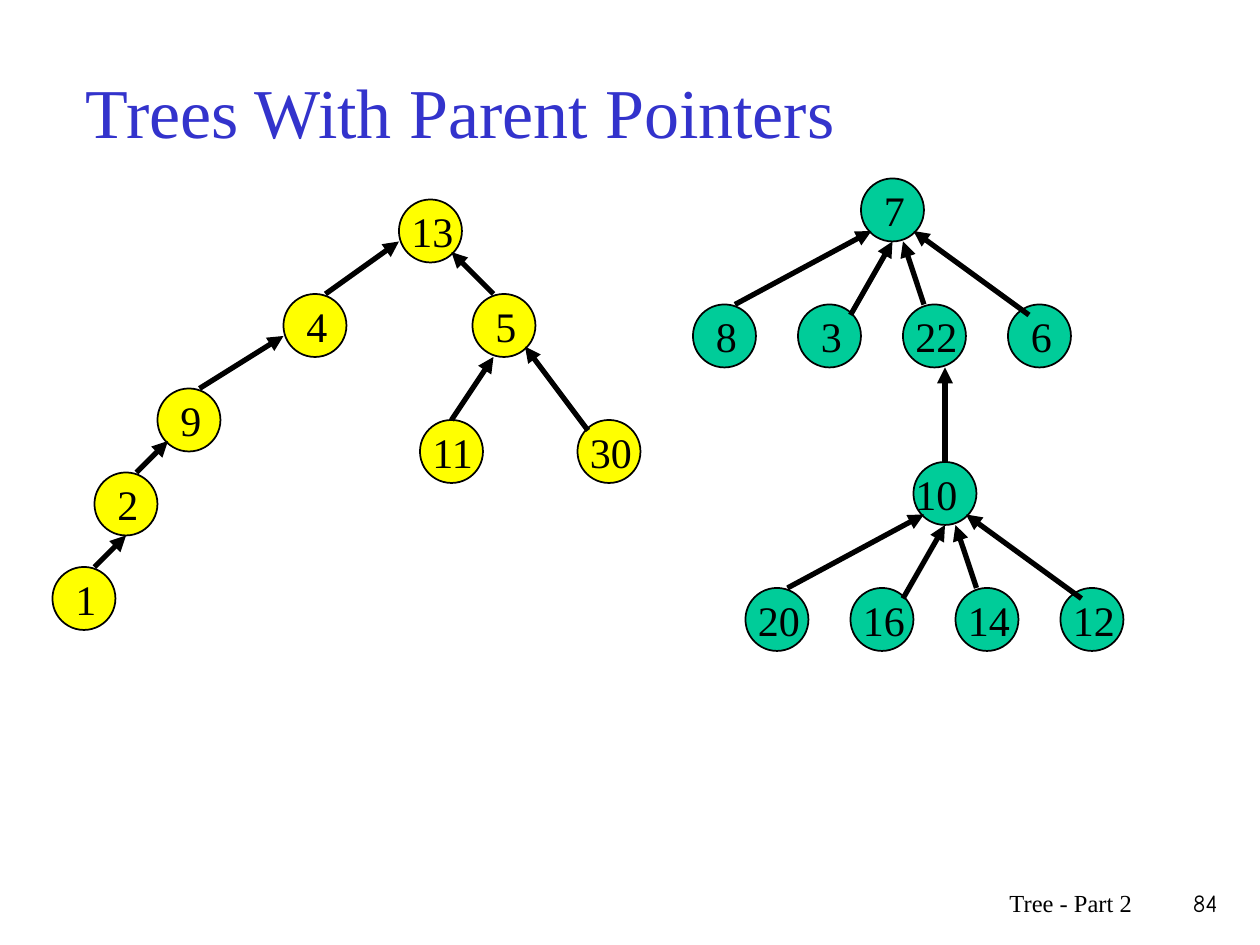
from lxml.etree import SubElement
from pptx import Presentation
from pptx.dml.color import RGBColor
from pptx.enum.shapes import MSO_CONNECTOR as Connector, MSO_SHAPE as Shape
from pptx.enum.text import MSO_ANCHOR as Anchor, PP_ALIGN as Align
from pptx.oxml.ns import qn
from pptx.util import Pt

PX = 9525  # EMU in one px, 96 px to the inch
NODE = 48  # node diameter

BLACK = RGBColor(0x00, 0x00, 0x00)
BLUE = RGBColor(0x33, 0x33, 0xCC)
YELLOW = RGBColor(0xFF, 0xFF, 0x00)
GREEN = RGBColor(0x00, 0xCC, 0x99)

SERIF = "Times New Roman"
COMIC = "Comic Neue"


def emu(*lengths):
    return [length * PX for length in lengths]


def add_text(shapes, text, box, size, color=BLACK, font=SERIF,
             align=Align.LEFT, anchor=Anchor.TOP):
    frame = shapes.add_textbox(*emu(*box)).text_frame
    frame.word_wrap = True
    frame.vertical_anchor = anchor
    para = frame.paragraphs[0]
    para.text = text
    para.alignment = align
    para.font.size = Pt(size)
    para.font.name = font
    para.font.color.rgb = color


def add_node(shapes, label, left, top, fill, label_shift=None):
    circle = shapes.add_shape(Shape.OVAL, *emu(left, top, NODE, NODE))
    circle.shadow.inherit = False
    circle.fill.solid()
    circle.fill.fore_color.rgb = fill
    circle.line.color.rgb = BLACK
    circle.line.width = Pt(1)
    single = len(label) == 1
    if label_shift is None:
        label_shift = 8 if single else 0
    width = 32 if single else 72
    add_text(shapes, label, (left + label_shift, top, width, NODE), 24)


def add_pointer(shapes, left, top, ends):
    """Draw a line whose arrowhead is at the parent, the first end."""
    x1, y1, x2, y2 = ends
    pointer = shapes.add_connector(
        Connector.STRAIGHT, *emu(left + x1, top + y1, left + x2, top + y2))
    pointer.line.color.rgb = BLACK
    pointer.line.width = Pt(3)
    SubElement(pointer.line._get_or_add_ln(), qn("a:headEnd"), type="triangle")
    SubElement(pointer._element.spPr, qn("a:effectLst"))


def add_binary_tree(shapes, left, top):
    nodes = [
        ("13", 264, 0), ("4", 176, 72), ("5", 320, 72), ("9", 80, 144),
        ("11", 280, 168), ("30", 400, 168), ("2", 32, 208), ("1", 0, 280),
    ]
    pointers = [
        (264, 32, 208, 72), (304, 40, 336, 72), (176, 104, 112, 144),
        (336, 120, 304, 168), (360, 112, 408, 176),
        (88, 184, 64, 208), (56, 256, 32, 280),
    ]
    for label, x, y in nodes:
        add_node(shapes, label, left + x, top + y, YELLOW)
    for ends in pointers:
        add_pointer(shapes, left, top, ends)


def add_fan(shapes, left, top, root, children, root_shift=None):
    """Draw a root with four children in a row below it."""
    pointers = [
        (136, 40, 32, 96), (152, 48, 120, 104),
        (160, 48, 176, 96), (168, 40, 256, 104),
    ]
    add_node(shapes, root, left + 128, top, GREEN, root_shift)
    for index, label in enumerate(children):
        add_node(shapes, label, left + 80 * index, top + 96, GREEN)
    for ends in pointers:
        add_pointer(shapes, left, top, ends)


def add_wide_tree(shapes, left, top):
    add_fan(shapes, left, top, "7", ["8", "3", "22", "6"])
    add_fan(shapes, left + 40, top + 216, "10", ["20", "16", "14", "12"], -8)
    add_pointer(shapes, left, top, (192, 144, 192, 216))


def add_footer(shapes, left, top):
    add_text(shapes, "Tree - Part 2", (left, top, 304, 48), 14,
             align=Align.RIGHT)
    add_text(shapes, "84", (left + 304, top, 65, 48), 14, font=COMIC,
             align=Align.RIGHT)


def main():
    deck = Presentation()
    deck.slide_width, deck.slide_height = emu(960, 720)
    page = deck.slides.add_slide(deck.slide_layouts[6])

    # Title
    add_text(page.shapes, "Trees With Parent Pointers", (56, 24, 816, 120),
             40, BLUE, anchor=Anchor.MIDDLE)
    # The two trees, one group each
    add_binary_tree(page.shapes.add_group_shape().shapes, 40, 152)
    add_wide_tree(page.shapes.add_group_shape().shapes, 528, 136)
    # Footer and page number
    add_footer(page.shapes, 568, 672)

    deck.save("out.pptx")


if __name__ == "__main__":
    main()
